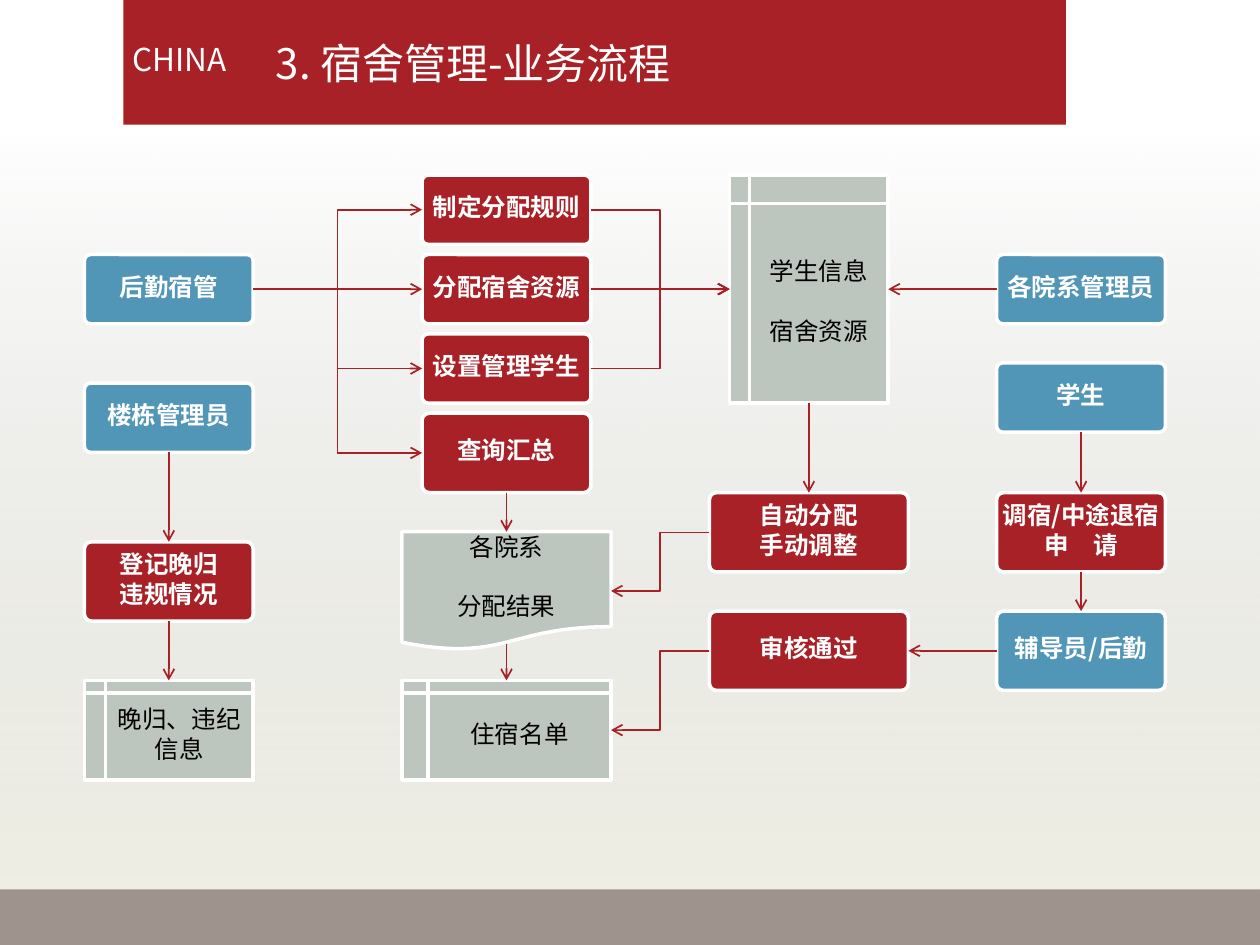
from typing import NamedTuple

from lxml.etree import SubElement
from pptx import Presentation
from pptx.dml.color import RGBColor
from pptx.enum.shapes import MSO_CONNECTOR as Link, MSO_SHAPE as Kind
from pptx.enum.text import MSO_ANCHOR as Anchor, MSO_AUTO_SIZE as AutoSize, PP_ALIGN as Align
from pptx.oxml.ns import qn
from pptx.util import Inches, Pt

FONT = "Noto Sans CJK SC"
COLORS = {"red": "A72127", "blue": "5195B7", "sage": "BDC5BF", "taupe": "9E948D",
          "white": "FFFFFF", "black": "000000", "haze": "646356", "sand": "D9D7B9"}
TOP, LEFT, BOTTOM, RIGHT = range(4)
TIGHT, OPEN = 3.5, 20.4  # points before the second line of a box
DOCUMENT_BOTTOM = 5.11   # where the wavy edge is left by its arrow

ACTOR_X, STEP_X, REVIEW_X, COLLEGE_X = 0.67, 3.35, 5.63, 7.91
BOX_W, WIDE_W, RESULT_W = 1.34, 1.58, 1.66
LOW, HIGH = 0.55, 0.63
STEP_TOPS = [1.39 + 0.63 * row for row in range(4)]


class Style(NamedTuple):
    kind: Kind
    fill: str
    ink: str
    bold: bool


class Node(NamedTuple):
    style: Style
    left: float
    top: float
    width: float
    height: float
    lines: list[str]
    gap: float = TIGHT


class Arrow(NamedTuple):
    source: str
    source_side: int
    target: str
    target_side: int
    route: Link = Link.STRAIGHT


ROLE = Style(Kind.ROUNDED_RECTANGLE, "blue", "white", True)
STEP = Style(Kind.ROUNDED_RECTANGLE, "red", "white", True)
STORE = Style(Kind.FLOWCHART_INTERNAL_STORAGE, "sage", "black", False)
DOCUMENT = Style(Kind.FLOWCHART_DOCUMENT, "sage", "black", False)

NODES = {
    "logistics": Node(ROLE, ACTOR_X, 2.02, BOX_W, LOW, ["后勤宿管"]),
    "warden": Node(ROLE, ACTOR_X, 3.04, BOX_W, LOW, ["楼栋管理员"]),
    "register": Node(STEP, ACTOR_X, 4.3, BOX_W, HIGH, ["登记晚归", "违规情况"]),
    "violations": Node(STORE, ACTOR_X, 5.4, BOX_W, 0.79, ["晚归、违纪", "信息"]),
    "rules": Node(STEP, STEP_X, STEP_TOPS[0], BOX_W, LOW, ["制定分配规则"]),
    "allocate": Node(STEP, STEP_X, STEP_TOPS[1], BOX_W, LOW, ["分配宿舍资源"]),
    "students": Node(STEP, STEP_X, STEP_TOPS[2], BOX_W, LOW, ["设置管理学生"]),
    "summary": Node(STEP, STEP_X, STEP_TOPS[3], BOX_W, HIGH, ["查询汇总"]),
    "results": Node(DOCUMENT, 3.19, 4.22, RESULT_W, 0.94, ["各院系", "分配结果"], OPEN),
    "residents": Node(STORE, 3.19, 5.4, RESULT_W, 0.79, ["住宿名单"]),
    "resources": Node(STORE, 5.79, 1.39, 1.26, 1.81, ["学生信息", "宿舍资源"], OPEN),
    "assign": Node(STEP, REVIEW_X, 3.91, WIDE_W, HIGH, ["自动分配", "手动调整"]),
    "approve": Node(STEP, REVIEW_X, 4.85, WIDE_W, HIGH, ["审核通过"]),
    "college": Node(ROLE, COLLEGE_X, 2.02, BOX_W, LOW, ["各院系管理员"]),
    "student": Node(ROLE, COLLEGE_X, 2.88, BOX_W, LOW, ["学生"]),
    "request": Node(STEP, COLLEGE_X, 3.91, BOX_W, HIGH, ["调宿/中途退宿", "申　请"]),
    "counsellor": Node(ROLE, COLLEGE_X, 4.85, BOX_W, HIGH, ["辅导员/后勤"]),
}

ARROWS = [
    Arrow("logistics", RIGHT, "rules", LEFT, Link.ELBOW),
    Arrow("logistics", RIGHT, "allocate", LEFT),
    Arrow("logistics", RIGHT, "students", LEFT, Link.ELBOW),
    Arrow("logistics", RIGHT, "summary", LEFT, Link.ELBOW),
    Arrow("rules", RIGHT, "resources", LEFT, Link.ELBOW),
    Arrow("allocate", RIGHT, "resources", LEFT),
    Arrow("students", RIGHT, "resources", LEFT, Link.ELBOW),
    Arrow("college", LEFT, "resources", RIGHT),
    Arrow("resources", BOTTOM, "assign", TOP),
    Arrow("assign", LEFT, "results", RIGHT, Link.ELBOW),
    Arrow("summary", BOTTOM, "results", TOP),
    Arrow("results", BOTTOM, "residents", TOP),
    Arrow("warden", BOTTOM, "register", TOP),
    Arrow("register", BOTTOM, "violations", TOP),
    Arrow("student", BOTTOM, "request", TOP),
    Arrow("request", BOTTOM, "counsellor", TOP),
    Arrow("counsellor", LEFT, "approve", RIGHT),
    Arrow("approve", LEFT, "residents", RIGHT, Link.ELBOW),
]


def rgb(color: str) -> RGBColor:
    return RGBColor.from_string(COLORS[color])


def format_runs(paragraph, size: float, color: str, bold: bool = False) -> None:
    for run in paragraph.runs:
        run.font.name, run.font.size, run.font.bold = FONT, Pt(size), bold
        run.font.color.rgb = rgb(color)
        SubElement(run.font._element, qn("a:ea"), typeface=FONT)


def add_band(slide, left: float, top: float, width: float, height: float, color: str):
    band = slide.shapes.add_shape(Kind.RECTANGLE, *map(Inches, (left, top, width, height)))
    band.shadow.inherit = False
    band.fill.solid()
    band.fill.fore_color.rgb = rgb(color)
    band.line.fill.background()
    return band


def add_backdrop(slide) -> None:
    """Fade from clear to a light sand below the header, with header and footer bands."""
    haze = add_band(slide, 0, 0.99, 10, 6.51, "sand")
    haze.fill.gradient()
    haze.fill.gradient_angle = 270
    for stop, color, position, opacity in zip(
            haze.fill.gradient_stops, ("haze", "sand"), (0, 1), (0, 38)):
        stop.color.rgb = rgb(color)
        stop.position = position
        SubElement(stop._element.find(qn("a:srgbClr")), qn("a:alpha"), val=str(opacity * 1000))
    add_band(slide, 0.98, 0, 7.48, 0.99, "red")
    add_band(slide, 0, 7.06, 10, 0.44, "taupe")


def add_heading(slide) -> None:
    country = slide.shapes.add_textbox(*map(Inches, (0.95, 0.27, 2.36, 0.4))).text_frame
    country.word_wrap = True
    country.text = "CHINA"
    format_runs(country.paragraphs[0], 18, "white")

    title = slide.shapes.title
    title.left, title.top, title.width, title.height = map(Inches, (2.09, 0, 6.06, 1))
    frame = title.text_frame
    frame.text = "3. 宿舍管理-业务流程"
    frame.auto_size = AutoSize.NONE
    frame.vertical_anchor = Anchor.MIDDLE
    frame.paragraphs[0].alignment = Align.LEFT
    format_runs(frame.paragraphs[0], 24, "white")
    slide.shapes._spTree.append(title._element)  # in front of the header band


def add_node(slide, node: Node):
    style = node.style
    box = slide.shapes.add_shape(
        style.kind, *map(Inches, (node.left, node.top, node.width, node.height)))
    box.shadow.inherit = False
    if style.kind == Kind.ROUNDED_RECTANGLE:
        box.adjustments[0] = 0.09
    box.fill.solid()
    box.fill.fore_color.rgb = rgb(style.fill)
    box.line.color.rgb = rgb("white")
    box.line.width = Pt(2)
    frame = box.text_frame
    frame.text = "\n".join(node.lines)
    frame.word_wrap = False
    frame.vertical_anchor = Anchor.MIDDLE
    for index, paragraph in enumerate(frame.paragraphs):
        paragraph.alignment = Align.CENTER
        paragraph.line_spacing = 0.8
        paragraph.space_before = Pt(node.gap if index else 0)
        format_runs(paragraph, 14, style.ink, style.bold)
    return box


def add_arrow(slide, arrow: Arrow, boxes: dict) -> None:
    line = slide.shapes.add_connector(arrow.route, 0, 0, 0, 0)
    line.begin_connect(boxes[arrow.source], arrow.source_side)
    line.end_connect(boxes[arrow.target], arrow.target_side)
    if NODES[arrow.source].style is DOCUMENT:
        line.begin_y = Inches(DOCUMENT_BOTTOM)
    line.line.color.rgb = rgb("red")
    line.line.width = Pt(1)
    SubElement(line.line._get_or_add_ln(), qn("a:tailEnd"), type="arrow")
    SubElement(line._element.spPr, qn("a:effectLst"))


def main() -> None:
    deck = Presentation()
    deck.slide_width, deck.slide_height = Inches(10), Inches(7.5)
    slide = deck.slides.add_slide(deck.slide_layouts[5])
    add_backdrop(slide)
    add_heading(slide)
    boxes = {key: add_node(slide, node) for key, node in NODES.items()}
    for arrow in ARROWS:
        add_arrow(slide, arrow, boxes)
    deck.save("out.pptx")


if __name__ == "__main__":
    main()
